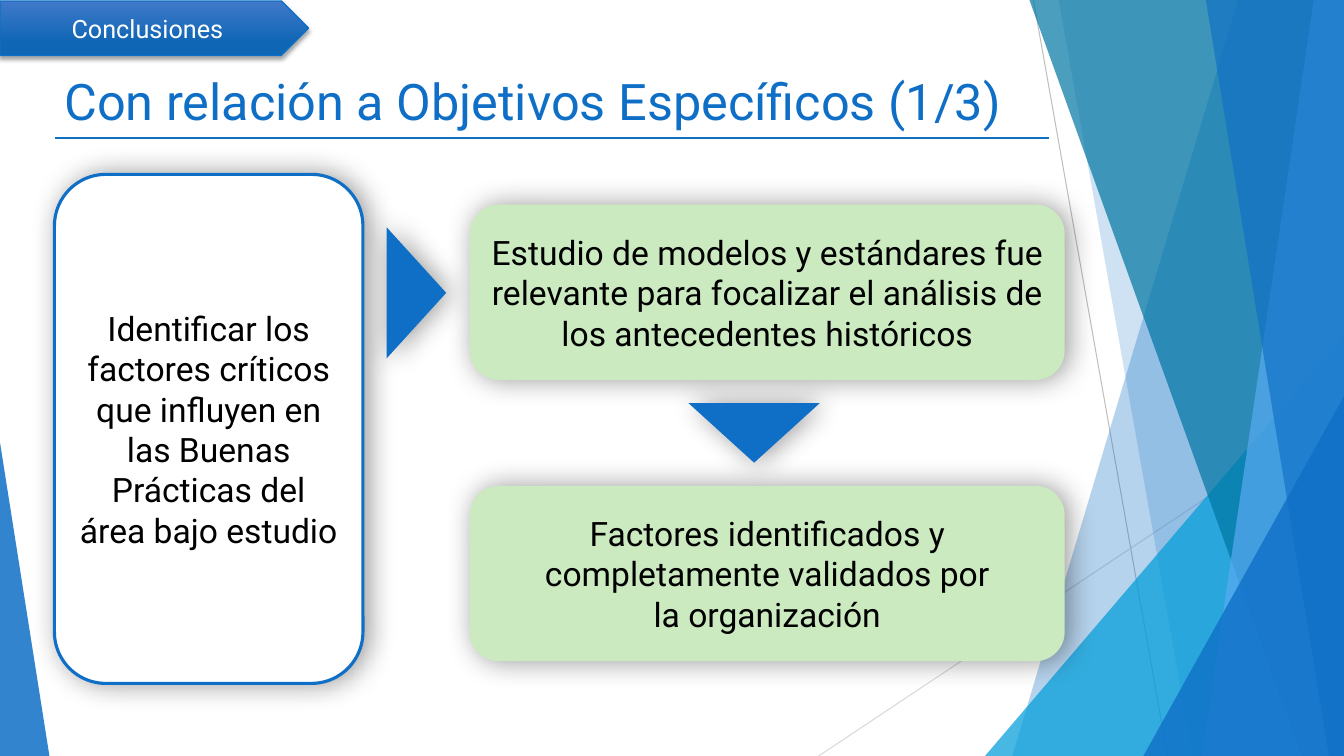
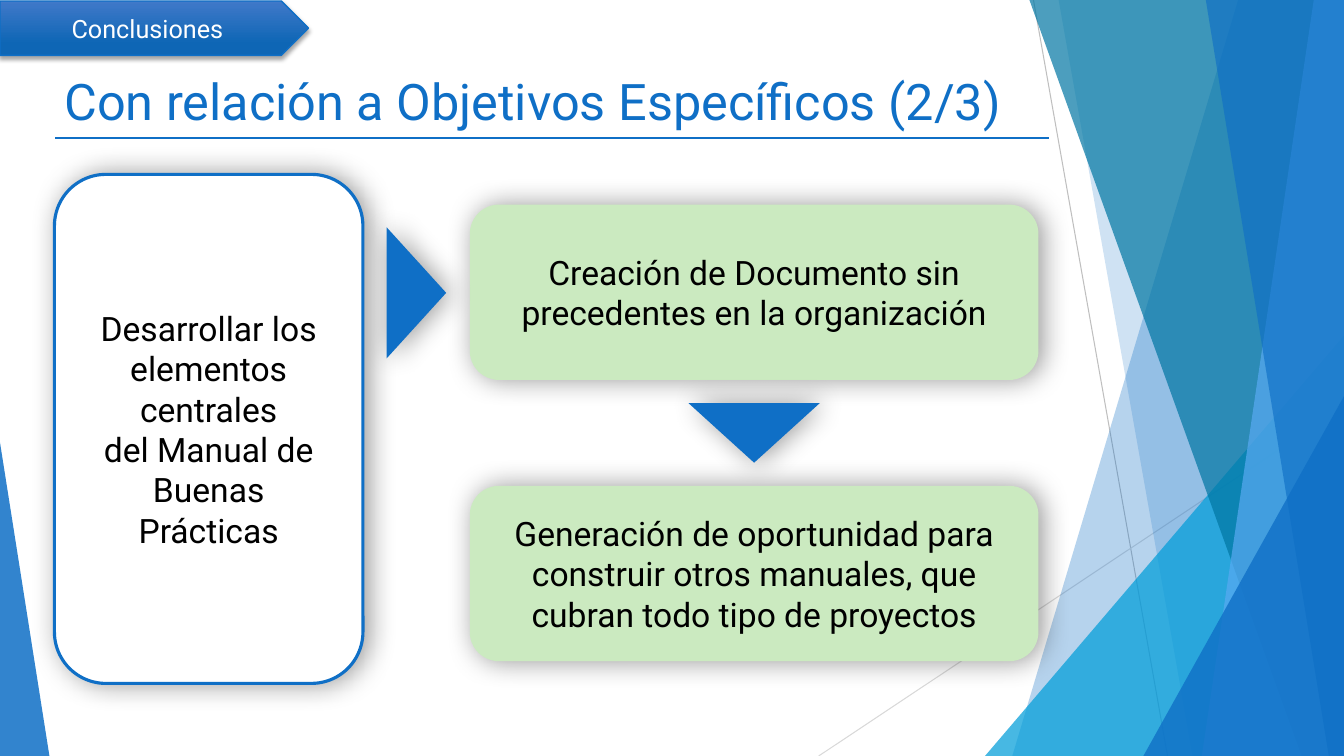
"""Build two slides of conclusions that link each goal to its results."""
from dataclasses import dataclass

from lxml.etree import SubElement as Sub
from pptx import Presentation
from pptx.dml.color import RGBColor
from pptx.enum.shapes import MSO_CONNECTOR as Link, MSO_SHAPE as Kind
from pptx.enum.text import MSO_ANCHOR as Anchor, PP_ALIGN as Align
from pptx.oxml.ns import qn
from pptx.util import Inches, Pt

BLUE = RGBColor(0x0F, 0x6F, 0xC6)
SKY = RGBColor(0x59, 0xAA, 0xF2)
CYAN = RGBColor(0x00, 0x9D, 0xD9)
TEAL = RGBColor(0x00, 0x76, 0xA3)
TAB_TOP = RGBColor(0x40, 0x79, 0xC9)
TAB_END = RGBColor(0x0E, 0x66, 0xB5)
GREEN = RGBColor(0xCB, 0xEA, 0xC0)
GRAY = RGBColor(0xBF, 0xBF, 0xBF)
PALE = RGBColor(0xD9, 0xD9, 0xD9)
WHITE = RGBColor(0xFF, 0xFF, 0xFF)
BLACK = RGBColor(0x00, 0x00, 0x00)

FONT = "Roboto"
WIDE, HIGH = 13.33, 7.5


@dataclass(frozen=True)
class Box:
    left: float
    top: float
    width: float
    height: float


@dataclass(frozen=True)
class Band:
    top: float
    base: float
    color: RGBColor
    alpha: int


@dataclass(frozen=True)
class Wedge:
    box: Box
    tip: float
    color: RGBColor
    alpha: int


@dataclass(frozen=True)
class Shade:
    alpha: int
    blur: float
    dist: float
    angle: int


@dataclass(frozen=True)
class Page:
    title: str
    goal: str
    width: float
    facts: tuple[str, ...]


SOFT = Shade(40, 20, 3, 0)
CRISP = Shade(35, 3, 2, 90)

DECOR = (
    Band(12.28, 10.04, BLUE, 30),
    Band(10.5, 11.83, BLUE, 20),
    Wedge(Box(9.77, 3.33, 3.56, 4.17), 1, CYAN, 72),
    Band(10.21, 12.91, TEAL, 70),
    Band(13.03, 11.92, SKY, 70),
    Band(11.96, 13.18, BLUE, 65),
    Wedge(Box(11.34, 3.93, 1.99, 3.57), 1, BLUE, 80),
    Wedge(Box(0, 4.39, 0.49, 3.11), 0, BLUE, 85),
)

PAGES = (
    Page(
        "Con relación a Objetivos Específicos (1/3)",
        "Identificar los factores críticos que influyen en las Buenas Prácticas del área bajo estudio",
        5.9,
        (
            "Estudio de modelos y estándares fue relevante para focalizar el análisis de los antecedentes históricos",
            "Factores identificados y completamente validados por\nla organización",
        ),
    ),
    Page(
        "Con relación a Objetivos Específicos (2/3)",
        "Desarrollar los elementos centrales\ndel Manual de Buenas Prácticas",
        5.64,
        (
            "Creación de Documento sin precedentes en la organización",
            "Generación de oportunidad para construir otros manuales, que cubran todo tipo de proyectos",
        ),
    ),
)


def write(shape, text: str, *, size: float = 24, color: RGBColor = BLACK, align=Align.CENTER) -> None:
    """Fill a shape with text, one paragraph per line."""
    frame = shape.text_frame
    frame.word_wrap = True
    frame.vertical_anchor = Anchor.MIDDLE
    frame.text = text
    for para in frame.paragraphs:
        para.alignment = align
        para.font.name = FONT
        para.font.size = Pt(size)
        para.font.color.rgb = color


def paint(shape, color: RGBColor, alpha: int = 100) -> None:
    """Give a shape a flat fill with no line or shadow."""
    shape.shadow.inherit = False
    shape.line.fill.background()
    shape.fill.solid()
    shape.fill.fore_color.rgb = color
    if alpha < 100:
        tone = shape._element.spPr.find(f"{qn('a:solidFill')}/{qn('a:srgbClr')}")
        Sub(tone, qn("a:alpha"), val=str(alpha * 1000))


def edge(shape, color: RGBColor, width: float) -> None:
    """Set the line of a shape or connector."""
    shape.line.color.rgb = color
    shape.line.width = Pt(width)


def cast(shape, shade: Shade) -> None:
    """Add an outer shadow to a shape."""
    shape.shadow.inherit = False
    effects = shape._element.spPr.find(qn("a:effectLst"))
    outer = Sub(
        effects,
        qn("a:outerShdw"),
        blurRad=str(Pt(shade.blur)),
        dist=str(Pt(shade.dist)),
        dir=str(shade.angle * 60000),
        algn="ctr",
        rotWithShape="0",
    )
    tone = Sub(outer, qn("a:srgbClr"), val=str(BLACK))
    Sub(tone, qn("a:alpha"), val=str(shade.alpha * 1000))


def place(slide, kind: Kind, box: Box):
    """Add a preset shape in a box."""
    return slide.shapes.add_shape(
        kind, Inches(box.left), Inches(box.top), Inches(box.width), Inches(box.height)
    )


def rule(slide, start: tuple[float, float], end: tuple[float, float], color: RGBColor, width: float) -> None:
    """Draw a straight line."""
    ends = [Inches(n) for n in (*start, *end)]
    line = slide.shapes.add_connector(Link.STRAIGHT, *ends)
    edge(line, color, width)
    Sub(line._element.spPr, qn("a:effectLst"))


def draw_band(slide, band: Band) -> None:
    """Draw a slanted band that runs to the right side of the slide."""
    spots = [(band.top, 0), (WIDE, 0), (WIDE, HIGH), (band.base, HIGH)]
    first, *rest = [(Inches(x), Inches(y)) for x, y in spots]
    pen = slide.shapes.build_freeform(*first)
    pen.add_line_segments(rest, close=True)
    paint(pen.convert_to_shape(), band.color, band.alpha)


def draw_wedge(slide, wedge: Wedge) -> None:
    """Draw a right triangle at a corner of the slide."""
    shape = place(slide, Kind.ISOSCELES_TRIANGLE, wedge.box)
    shape.adjustments[0] = wedge.tip
    paint(shape, wedge.color, wedge.alpha)


def draw_frame(slide) -> None:
    """Draw the lines and colour planes that the slides share."""
    rule(slide, (10.25, 0), (11.58, HIGH), GRAY, 0.75)
    rule(slide, (WIDE, 4.03), (8.12, HIGH), PALE, 0.75)
    for item in DECOR:
        if isinstance(item, Band):
            draw_band(slide, item)
        else:
            draw_wedge(slide, item)
    rule(slide, (0.55, 1.37), (10.4, 1.37), BLUE, 1)


def draw_head(slide, title: str) -> None:
    """Draw the title and the section tab."""
    head = slide.shapes.add_textbox(Inches(0.54), Inches(0.63), Inches(10.02), Inches(0.74))
    write(head, title, size=36, color=BLUE, align=Align.LEFT)
    tab = place(slide, Kind.PENTAGON, Box(0, 0.01, 3.06, 0.54))
    tab.fill.gradient()
    tab.fill.gradient_angle = 270
    for stop, (spot, color) in zip(tab.fill.gradient_stops, ((0, TAB_TOP), (0.78, TAB_END))):
        stop.position = spot
        stop.color.rgb = color
    edge(tab, BLUE, 1)
    cast(tab, CRISP)
    write(tab, "Conclusiones", size=18, color=WHITE)


def draw_card(slide, box: Box, text: str, color: RGBColor):
    """Draw a rounded card with text."""
    card = place(slide, Kind.ROUNDED_RECTANGLE, box)
    paint(card, color)
    cast(card, SOFT)
    write(card, text)
    return card


def draw_arrow(slide, left: float, top: float, turn: int) -> None:
    """Draw a triangle that points to the next card."""
    arrow = place(slide, Kind.FLOWCHART_MERGE, Box(left, top, 1.3, 0.59))
    arrow.rotation = turn
    paint(arrow, BLUE)
    cast(arrow, SOFT)


def draw_page(slide, page: Page) -> None:
    """Draw one whole slide."""
    draw_frame(slide)
    draw_head(slide, page.title)
    goal = draw_card(slide, Box(0.54, 1.73, 3.06, 5.05), page.goal, WHITE)
    edge(goal, BLUE, 2.25)
    for row, fact in enumerate(page.facts):
        draw_card(slide, Box(4.66, 2.03 + 2.79 * row, page.width, 1.74), fact, GREEN)
    draw_arrow(slide, 3.48, 2.61, 270)
    draw_arrow(slide, 6.83, 4, 0)


def main() -> None:
    """Build and save the deck."""
    deck = Presentation()
    deck.slide_width, deck.slide_height = Inches(WIDE), Inches(HIGH)
    for page in PAGES:
        draw_page(deck.slides.add_slide(deck.slide_layouts[6]), page)
    deck.save("out.pptx")


if __name__ == "__main__":
    main()
